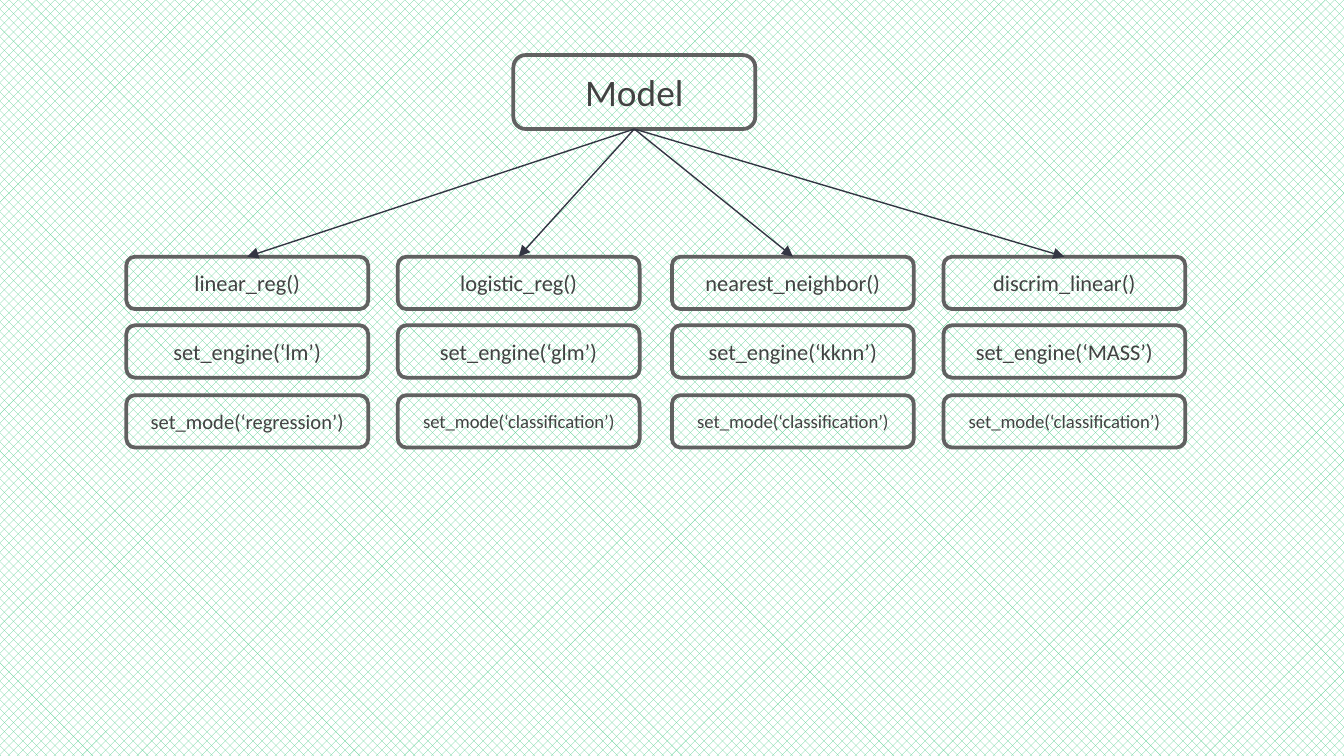
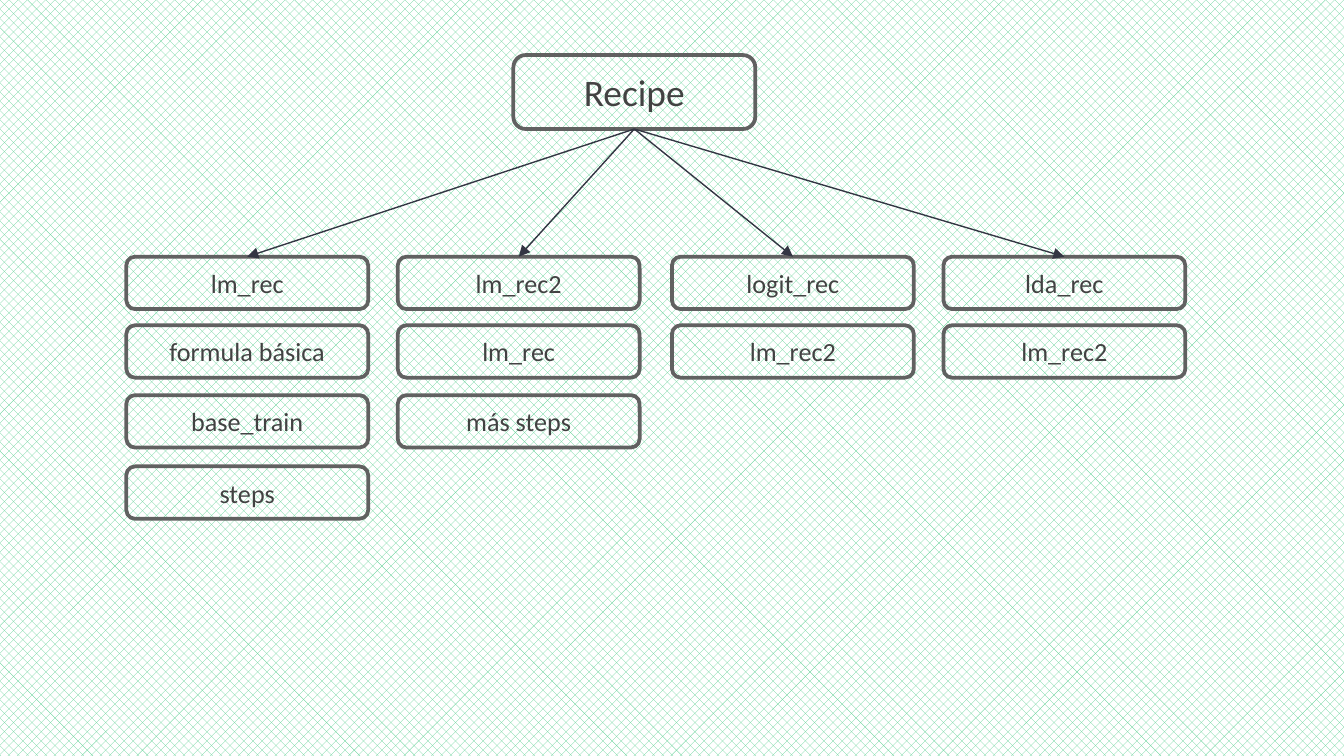
"""Build two tree diagrams: the models and the recipes of a modelling workflow."""
from dataclasses import dataclass

from pptx import Presentation
from pptx.dml.color import RGBColor
from pptx.enum.dml import MSO_PATTERN
from pptx.enum.shapes import MSO_CONNECTOR, MSO_SHAPE
from pptx.enum.text import MSO_ANCHOR, PP_ALIGN
from pptx.oxml.ns import qn
from pptx.util import Inches, Pt
from lxml import etree

ROUNDED = MSO_SHAPE.ROUNDED_RECTANGLE
STRAIGHT = MSO_CONNECTOR.STRAIGHT
HALF_TONE = MSO_PATTERN.PERCENT_50
CENTER = PP_ALIGN.CENTER
MIDDLE = MSO_ANCHOR.MIDDLE
TOP_SITE, BOTTOM_SITE = 0, 2
BLANK_LAYOUT = 6


@dataclass(frozen=True)
class Theme:
    font: str = "Calibri"
    text: RGBColor = RGBColor(0x42, 0x42, 0x42)
    outline: RGBColor = RGBColor(0x61, 0x61, 0x61)
    arrow: RGBColor = RGBColor(0x33, 0x36, 0x43)
    mesh: RGBColor = RGBColor(0x63, 0xD2, 0x97)
    paper: RGBColor = RGBColor(0xFF, 0xFF, 0xFF)
    root_size: int = 20
    recipe_size: int = 14
    function_size: int = 12
    mode_size: int = 11
    long_mode_size: int = 10
    outline_width: float = 2
    arrow_width: float = 0.75


ROOT_LEFT, ROOT_TOP, ROOT_HEIGHT = 3.82, 0.41, 0.55
BOX_WIDTH, BOX_HEIGHT = 1.8, 0.39
COLUMN_LEFTS = (0.94, 2.96, 5, 7.02)
ROW_TOPS = (1.91, 2.42, 2.94, 3.47)


class TreeDeck:
    def __init__(self, theme):
        self.theme = theme
        self.deck = Presentation()
        self.deck.slide_width = Inches(10)
        self.deck.slide_height = Inches(10) * 9 // 16
        self.slide = None
        backdrop = self.deck.slide_master.background.fill
        backdrop.patterned()
        backdrop.pattern = HALF_TONE
        backdrop.fore_color.rgb = theme.mesh
        backdrop.back_color.rgb = theme.paper

    def start_slide(self):
        self.slide = self.deck.slides.add_slide(self.deck.slide_layouts[BLANK_LAYOUT])

    def box(self, text, left, top, height, size):
        node = self.slide.shapes.add_shape(
            ROUNDED, Inches(left), Inches(top), Inches(BOX_WIDTH), Inches(height))
        node.shadow.inherit = False
        node.fill.background()
        node.line.color.rgb = self.theme.outline
        node.line.width = Pt(self.theme.outline_width)
        node.text_frame.vertical_anchor = MIDDLE
        label = node.text_frame.paragraphs[0]
        label.text = text
        label.alignment = CENTER
        label.font.name = self.theme.font
        label.font.size = Pt(size)
        label.font.color.rgb = self.theme.text
        return node

    def arrow(self, parent, child):
        link = self.slide.shapes.add_connector(STRAIGHT, 0, 0, 0, 0)
        link.begin_connect(parent, BOTTOM_SITE)
        link.end_connect(child, TOP_SITE)
        link.line.color.rgb = self.theme.arrow
        link.line.width = Pt(self.theme.arrow_width)
        etree.SubElement(link.line._get_or_add_ln(), qn("a:tailEnd"), type="triangle")
        etree.SubElement(link._element.spPr, qn("a:effectLst"))

    def tree(self, root_text, columns):
        self.start_slide()
        root = self.box(root_text, ROOT_LEFT, ROOT_TOP, ROOT_HEIGHT, self.theme.root_size)
        heads = []
        for left, entries in zip(COLUMN_LEFTS, columns):
            stack = [self.box(text, left, top, BOX_HEIGHT, size)
                     for top, (text, size) in zip(ROW_TOPS, entries)]
            heads.append(stack[0])
        for head in heads:
            self.arrow(root, head)


MODELS = [
    ("linear_reg", "lm", "regression"),
    ("logistic_reg", "glm", "classification"),
    ("nearest_neighbor", "kknn", "classification"),
    ("discrim_linear", "MASS", "classification"),
]
RECIPES = [
    ("lm_rec", "formula básica", "base_train", "steps"),
    ("lm_rec2", "lm_rec", "más steps"),
    ("logit_rec", "lm_rec2"),
    ("lda_rec", "lm_rec2"),
]


def model_entries(theme, function, engine, mode):
    mode_size = theme.mode_size if mode == "regression" else theme.long_mode_size
    return [
        (f"{function}()", theme.function_size),
        (f"set_engine(‘{engine}’)", theme.function_size),
        (f"set_mode(‘{mode}’)", mode_size),
    ]


def main():
    theme = Theme()
    trees = TreeDeck(theme)
    trees.tree("Model", [model_entries(theme, *model) for model in MODELS])
    trees.tree("Recipe", [[(step, theme.recipe_size) for step in recipe]
                          for recipe in RECIPES])
    trees.deck.save("out.pptx")


if __name__ == "__main__":
    main()
